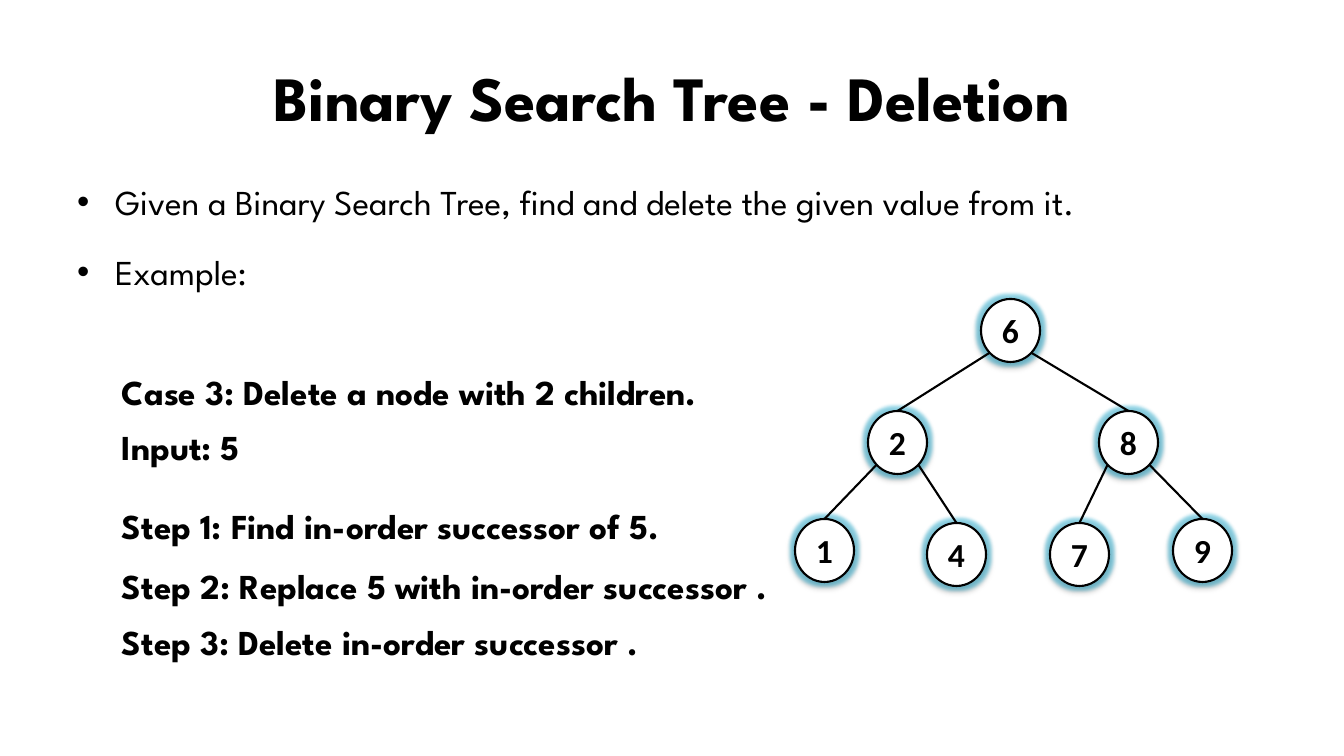
from math import sqrt

from lxml import etree
from pptx import Presentation
from pptx.dml.color import RGBColor
from pptx.enum.shapes import MSO_CONNECTOR, MSO_SHAPE
from pptx.enum.text import MSO_ANCHOR, MSO_AUTO_SIZE, PP_ALIGN
from pptx.oxml import parse_xml
from pptx.oxml.ns import nsdecls, qn
from pptx.util import Pt

LINE, OVAL = MSO_CONNECTOR.STRAIGHT, MSO_SHAPE.OVAL
CENTER, LEFT = PP_ALIGN.CENTER, PP_ALIGN.LEFT
MIDDLE, TOP = MSO_ANCHOR.MIDDLE, MSO_ANCHOR.TOP
NO_FIT = MSO_AUTO_SIZE.NONE

# Content
TITLE = "Binary Search Tree - Deletion"
BULLETS = [
    "Given a Binary Search Tree, find and delete the given value from it.",
    "Example:",
]
NOTES = [  # text, top, width
    ("Case 3: Delete a node with 2 children.", 345, 634),
    ("Input: 5", 400, 145),
    ("Step 1: Find in-order successor of 5.", 479, 609),
    ("Step 2: Replace 5 with in-order successor .", 539, 717),
    ("Step 3: Delete in-order successor .", 595, 580),
]
NODES = {  # value: left, top
    "6": (981, 299),
    "2": (868, 411), "8": (1099, 411),
    "1": (795, 519), "4": (927, 523), "7": (1050, 523), "9": (1173, 519),
}
CHILDREN = {"6": ("2", "8"), "2": ("1", "4"), "8": ("7", "9")}
NODE_W, NODE_H = 59, 63

BLACK, WHITE, GLOW = "000000", "FFFFFF", "31B6D9"
HEADING = {"name": "League Spartan", "size": Pt(45), "bold": True}
BODY = {"name": "League Spartan", "size": Pt(25), "bold": False}
NOTE = {**BODY, "bold": True}
VALUE = {"name": "Calibri", "size": Pt(24), "bold": True}
EFFECTS = (
    f'<a:effectLst {nsdecls("a")}>'
    f'<a:glow rad="63500"><a:srgbClr val="{GLOW}"><a:alpha val="50000"/></a:srgbClr></a:glow>'
    '<a:outerShdw blurRad="39370" dist="22860" dir="5400000" rotWithShape="0">'
    f'<a:srgbClr val="{BLACK}"><a:alpha val="35000"/></a:srgbClr></a:outerShdw>'
    '</a:effectLst>'
)


def px(n):
    return round(n * 914400 / 100.8)


def rgb(value):
    return RGBColor.from_string(value)


def place(shape, left, top, width, height):
    shape.left, shape.top = px(left), px(top)
    shape.width, shape.height = px(width), px(height)


def write(p, text, font, align=LEFT, spacing=1.0):
    p.alignment, p.line_spacing = align, spacing
    r = p.add_run()
    r.text = text
    for name, value in font.items():
        setattr(r.font, name, value)
    r.font.color.rgb = rgb(BLACK)


prs = Presentation()
prs.slide_width, prs.slide_height = px(1344), px(756)
s = prs.slides.add_slide(prs.slide_layouts[1])

# Title
title = s.shapes.title
place(title, 67, 30, 1210, 126)
title.text_frame.vertical_anchor = MIDDLE
title.text_frame.auto_size = NO_FIT
write(title.text_frame.paragraphs[0], TITLE, HEADING, CENTER, 1.1)

# Bullet list
body = s.placeholders[1]
place(body, 67, 154, 1210, 499)
tf = body.text_frame
tf.vertical_anchor, tf.auto_size = TOP, NO_FIT
for i, text in enumerate(BULLETS):
    p = tf.add_paragraph() if i else tf.paragraphs[0]
    pPr = p._p.get_or_add_pPr()
    pPr.set("marL", str(px(38)))
    pPr.set("indent", str(-px(38)))
    etree.SubElement(pPr, qn("a:buChar")).set("char", "•")
    p.space_before = Pt(5 if i else 0)
    write(p, text, BODY, spacing=1.5)

# Case and steps
for text, top, width in NOTES:
    tf = s.shapes.add_textbox(px(112), px(top), px(width), px(69)).text_frame
    tf.word_wrap = False
    write(tf.paragraphs[0], text, NOTE, spacing=1.5)

# Tree nodes
nodes = {}
for value, (left, top) in NODES.items():
    sp = s.shapes.add_shape(OVAL, px(left), px(top), px(NODE_W), px(NODE_H))
    sp.fill.solid()
    sp.fill.fore_color.rgb = rgb(WHITE)
    sp.line.color.rgb = rgb(BLACK)
    sp.line.width = Pt(1.5)
    sp._element.spPr.append(parse_xml(EFFECTS))
    sp.text_frame.vertical_anchor = MIDDLE
    sp.text_frame.word_wrap = False
    write(sp.text_frame.paragraphs[0], value, VALUE, CENTER)
    nodes[value] = sp

# Tree edges: from the parent's lower diagonal to the child's top
for parent, children in CHILDREN.items():
    left, top = NODES[parent]
    start_y = top + NODE_H / 2 * (1 + 1 / sqrt(2))
    for side, child in zip((-1, 1), children):
        start_x = left + NODE_W / 2 * (1 + side / sqrt(2))
        child_left, child_top = NODES[child]
        edge = s.shapes.add_connector(LINE, px(start_x), px(start_y),
                                      px(child_left + NODE_W / 2), px(child_top))
        edge.end_connect(nodes[child], 0)
        edge.line.color.rgb = rgb(BLACK)
        edge.line.width = Pt(1.5)
        etree.SubElement(edge._element.spPr, qn("a:effectLst"))

prs.save("out.pptx")
